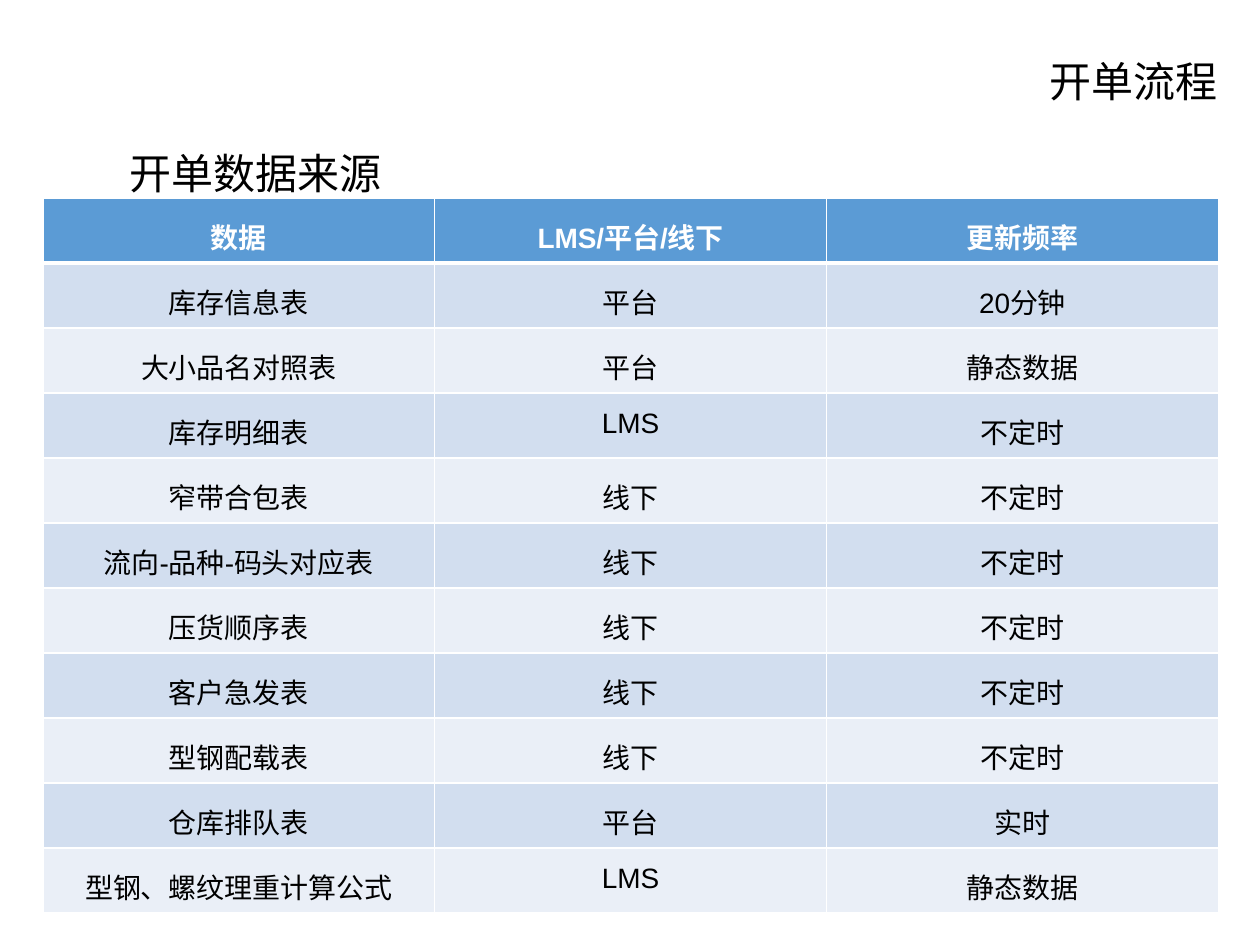
from lxml.etree import SubElement
from pptx import Presentation
from pptx.dml.color import RGBColor
from pptx.enum.text import MSO_ANCHOR, MSO_AUTO_SIZE, PP_ALIGN
from pptx.oxml.ns import qn
from pptx.util import Inches, Pt

COLORS = {
    "text": "000000",
    "white": "FFFFFF",
    "header": "5B9BD5",
    "odd": "D2DEEF",
    "even": "EAEFF7",
}

ROWS = [
    ("数据", "LMS/平台/线下", "更新频率"),
    ("库存信息表", "平台", "20分钟"),
    ("大小品名对照表", "平台", "静态数据"),
    ("库存明细表", "LMS", "不定时"),
    ("窄带合包表", "线下", "不定时"),
    ("流向-品种-码头对应表", "线下", "不定时"),
    ("压货顺序表", "线下", "不定时"),
    ("客户急发表", "线下", "不定时"),
    ("型钢配载表", "线下", "不定时"),
    ("仓库排队表", "平台", "实时"),
    ("型钢、螺纹理重计算公式", "LMS", "静态数据"),
]


class SlideBuilder:
    """Holds the text style and the current slide, and adds elements to it."""

    font = "Arial"
    line_spacing = 1.3

    def __init__(self, prs):
        self.s = prs.slides.add_slide(prs.slide_layouts[5])

    def format(self, p, size, color, align, bold=False):
        p.alignment = align
        p.line_spacing = self.line_spacing
        p.font.name = self.font
        p.font.size = Pt(size)
        p.font.bold = bold
        p.font.color.rgb = RGBColor.from_string(COLORS[color])

    def fill_text(self, sp, text, align):
        tf = sp.text_frame
        tf.text = text
        tf.word_wrap = True
        tf.auto_size = MSO_AUTO_SIZE.SHAPE_TO_FIT_TEXT
        tf.vertical_anchor = MSO_ANCHOR.TOP
        self.format(tf.paragraphs[0], 24, "text", align)

    def title(self, text, left, top, width, height):
        sp = self.s.shapes.title
        sp.left, sp.top, sp.width, sp.height = map(Inches, (left, top, width, height))
        self.fill_text(sp, text, PP_ALIGN.RIGHT)

    def text(self, text, left, top, width, height):
        sp = self.s.shapes.add_textbox(*map(Inches, (left, top, width, height)))
        self.fill_text(sp, text, PP_ALIGN.LEFT)

    def border(self, cell, side, width):
        ln = SubElement(cell._tc.get_or_add_tcPr(), qn(f"a:ln{side}"), w=str(Pt(width)))
        fill = SubElement(ln, qn("a:solidFill"))
        SubElement(fill, qn("a:srgbClr"), val=COLORS["white"])

    def table(self, rows, left, top, width, height):
        box = map(Inches, (left, top, width, height))
        table = self.s.shapes.add_table(len(rows), len(rows[0]), *box).table
        for i, row in enumerate(rows):
            header = i == 0
            fill = "header" if header else "odd" if i % 2 else "even"
            widths = {"L": 1, "R": 1, "T": 3 if i == 1 else 1, "B": 3 if header else 1}
            for j, value in enumerate(row):
                cell = table.cell(i, j)
                cell.text = value
                for side, line_width in widths.items():
                    self.border(cell, side, line_width)
                cell.fill.solid()
                cell.fill.fore_color.rgb = RGBColor.from_string(COLORS[fill])
                p = cell.text_frame.paragraphs[0]
                self.format(p, 16, "white" if header else "text", PP_ALIGN.CENTER, header)


def main():
    prs = Presentation()
    prs.slide_width, prs.slide_height = Inches(10), Inches(7.5)
    builder = SlideBuilder(prs)
    builder.table(ROWS, 0.34, 1.57, 9.33, 5.68)
    builder.title("开单流程", 5.01, 0.27, 4.75, 0.57)
    builder.text("开单数据来源", 0.93, 1, 2.65, 0.57)
    prs.save("out.pptx")


if __name__ == "__main__":
    main()
